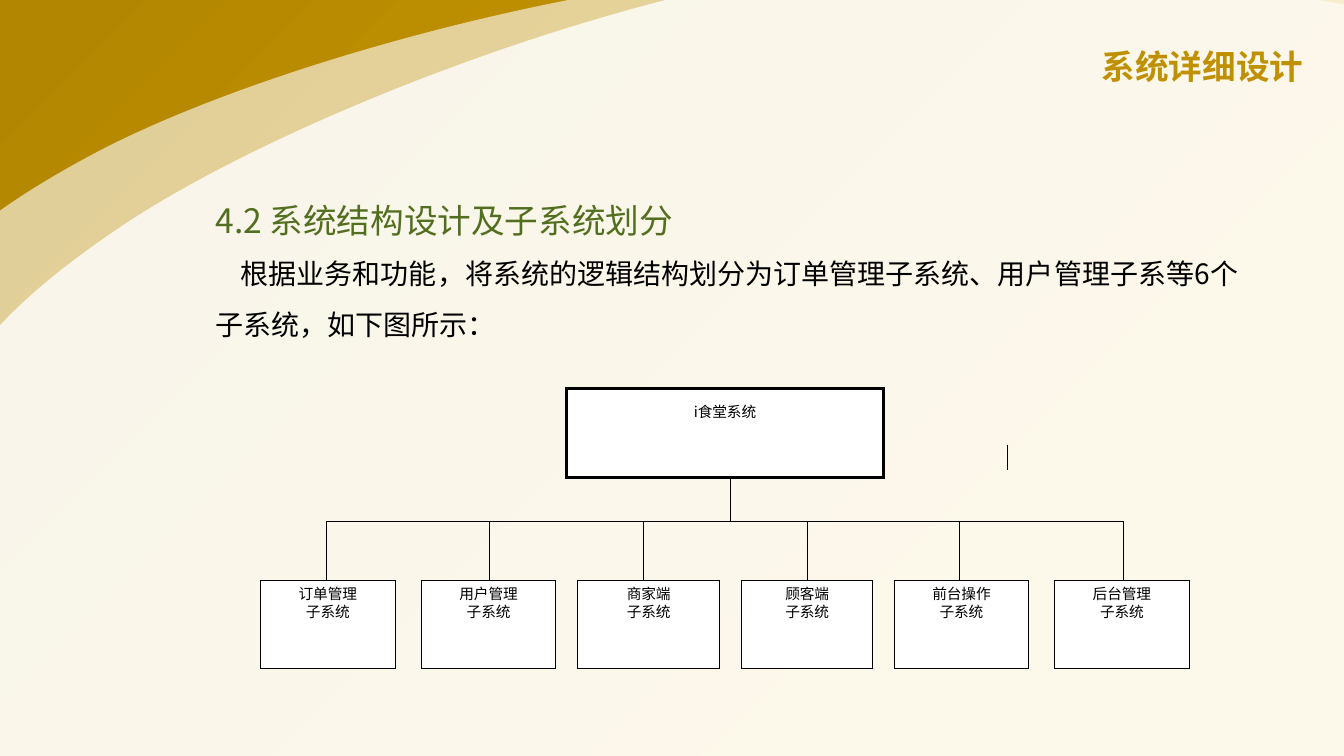
from lxml import etree
from pptx import Presentation
from pptx.dml.color import RGBColor
from pptx.enum import shapes, text
from pptx.oxml import ns, parse_xml
from pptx.util import Pt

FONT = "Noto Sans CJK SC"
GOLD = RGBColor(0xBF, 0x90, 0x00)
GREEN = RGBColor(0x52, 0x6E, 0x1F)
BLACK = RGBColor(0, 0, 0)
WHITE = RGBColor(255, 255, 255)
STOPS = [(0, "E3AB00"), (23, "E3AB00"), (69, "BF9000"), (97, "B28600")]

VEIL = (-139, -24.5, 1471.7, 715)
START = (-97.2, 280)
CURVES = [
    ((-73.4, 213.8), (-43.9, 168.5), (69.1, 108.7)),
    ((181.4, 49.7), (406.1, -14.4), (585.4, -23)),
    ((765.4, -31.7), (1033.9, -0.7), (1146.2, 59)),
    ((1259.3, 118.1), (1387.4, 299.5), (1309, 393.1)),
    ((1229.8, 487.4), (815.8, 670.3), (585.4, 689)),
    ((355, 707.8), (37.4, 565.2), (-74.9, 505.4)),
    ((-187.9, 446.4), (-121, 346.3), START),
]

BUS = 372.2
TOP = 414.4
HIGH = 63.4
PARTS = [
    ("订单管理", 186.2, 96, 233.2),
    ("用户管理", 301, 96, 349.8),
    ("商家端", 412.6, 101.5, 459.4),
    ("顾客端", 529.8, 93.6, 576.6),
    ("前台操作", 638.8, 96, 685.6),
    ("后台管理", 753.4, 96, 802.6),
]


def add_run(para, words, size, color, bold=False):
    run = para.add_run()
    run.text = words
    font = run.font
    font.size, font.bold, font.name = Pt(size), bold, FONT
    font.color.rgb = color
    east = etree.SubElement(run._r.get_or_add_rPr(), ns.qn("a:ea"))
    east.set("typeface", FONT)


def add_back(slide, width, height):
    back = slide.shapes.add_shape(shapes.MSO_SHAPE.RECTANGLE, 0, 0, width, height)
    back.shadow.inherit = False
    back.line.fill.background()
    stops = "".join(
        f'<a:gs pos="{pos * 1000}"><a:srgbClr val="{color}"/></a:gs>'
        for pos, color in STOPS
    )
    grad = parse_xml(
        f'<a:gradFill {ns.nsdecls("a")} rotWithShape="1"><a:gsLst>{stops}</a:gsLst>'
        '<a:path path="circle"><a:fillToRect l="100000" t="100000"/></a:path>'
        "</a:gradFill>"
    )
    back._element.spPr.find(ns.qn("a:prstGeom")).addnext(grad)


def bend_sides(veil):
    left, top, width, height = VEIL
    veil.left, veil.top, veil.width, veil.height = map(Pt, VEIL)
    route = veil._element.spPr.find(".//" + ns.qn("a:path"))
    route.set("w", str(Pt(width)))
    route.set("h", str(Pt(height)))
    for side, bend in zip(route.findall(ns.qn("a:lnTo")), CURVES):
        curve = etree.Element(ns.qn("a:cubicBezTo"))
        for x, y in bend:
            spot = etree.SubElement(curve, ns.qn("a:pt"))
            spot.set("x", str(Pt(x - left)))
            spot.set("y", str(Pt(y - top)))
        route.replace(side, curve)
    spot = route.find(ns.qn("a:moveTo")).find(ns.qn("a:pt"))
    spot.set("x", str(Pt(START[0] - left)))
    spot.set("y", str(Pt(START[1] - top)))


def add_veil(slide, alpha, right=0, down=0, turn=0):
    pen = slide.shapes.build_freeform(Pt(START[0]), Pt(START[1]))
    pen.add_line_segments([(Pt(x), Pt(y)) for *_, (x, y) in CURVES], close=True)
    veil = pen.convert_to_shape()
    bend_sides(veil)
    veil.left += Pt(right)
    veil.top += Pt(down)
    veil.rotation = turn
    veil.shadow.inherit = False
    veil.line.fill.background()
    veil.fill.solid()
    veil.fill.fore_color.rgb = WHITE
    color = veil._element.spPr.find(".//" + ns.qn("a:srgbClr"))
    etree.SubElement(color, ns.qn("a:alpha")).set("val", str(alpha * 1000))


def set_title(slide, words):
    title = slide.shapes.title
    title.left, title.top, title.width, title.height = Pt(520.6), Pt(20.2), Pt(417.6), Pt(56.9)
    frame = title.text_frame
    frame.word_wrap = True
    frame.auto_size = text.MSO_AUTO_SIZE.NONE
    frame.vertical_anchor = text.MSO_ANCHOR.MIDDLE
    para = frame.paragraphs[0]
    para.alignment = text.PP_ALIGN.RIGHT
    para.line_spacing = 0.9
    para.space_before = Pt(10)
    add_run(para, words, 24, GOLD, True)
    title._element.getparent().append(title._element)


def add_intro(slide, head, body):
    frame = slide.shapes.add_textbox(Pt(146.9), Pt(124.6), Pt(745.9), Pt(119.5)).text_frame
    frame.word_wrap = True
    frame.auto_size = text.MSO_AUTO_SIZE.SHAPE_TO_FIT_TEXT
    first, second = frame.paragraphs[0], frame.add_paragraph()
    first.line_spacing = second.line_spacing = 1.5
    add_run(first, head, 24, GREEN)
    add_run(second, body, 20, BLACK)
    second._p.get_or_add_pPr().set("indent", str(Pt(18)))


def add_box(slide, left, top, width, lines, edge=0.75, inset=3.6):
    box = slide.shapes.add_shape(
        shapes.MSO_SHAPE.RECTANGLE, Pt(left), Pt(top), Pt(width), Pt(HIGH)
    )
    box.shadow.inherit = False
    box.fill.solid()
    box.fill.fore_color.rgb = WHITE
    box.line.color.rgb = BLACK
    box.line.width = Pt(edge)
    miter = etree.SubElement(box._element.spPr.find(ns.qn("a:ln")), ns.qn("a:miter"))
    miter.set("lim", "800000")
    frame = box.text_frame
    frame.word_wrap = True
    frame.vertical_anchor = text.MSO_ANCHOR.TOP
    frame.margin_top = Pt(inset)
    for place, words in enumerate(lines):
        para = frame.add_paragraph() if place else frame.paragraphs[0]
        para.alignment = text.PP_ALIGN.CENTER
        add_run(para, words, 10.5, BLACK)
    return box


def add_line(slide, x1, y1, x2, y2):
    line = slide.shapes.add_connector(
        shapes.MSO_CONNECTOR.STRAIGHT, Pt(x1), Pt(y1), Pt(x2), Pt(y2)
    )
    line.line.color.rgb = BLACK
    line.line.width = Pt(0.75)
    etree.SubElement(line._element.spPr, ns.qn("a:effectLst"))
    return line


def add_tree(slide):
    add_box(slide, 404.7, 277.7, 226.3, ["i食堂系统"], 2.25, 10.1)
    add_line(slide, 522, 341, 522, BUS)
    add_line(slide, PARTS[0][-1], BUS, PARTS[-1][-1], BUS)
    for name, left, width, drop in PARTS:
        box = add_box(slide, left, TOP, width, [name, "子系统"])
        line = add_line(slide, drop, BUS, drop, TOP)
        if abs(left + width / 2 - drop) < 0.5:
            line.end_connect(box, 0)


def main():
    deck = Presentation()
    deck.slide_width, deck.slide_height = Pt(960), Pt(540)
    slide = deck.slides.add_slide(deck.slide_layouts[5])
    add_back(slide, deck.slide_width, deck.slide_height)
    add_veil(slide, 60)
    add_veil(slide, 80, 39.6, -3.6, -5.9)
    set_title(slide, "系统详细设计")
    add_intro(
        slide,
        "4.2 系统结构设计及子系统划分",
        "根据业务和功能，将系统的逻辑结构划分为订单管理子系统、用户管理子系等6个子系统，如下图所示：",
    )
    add_line(slide, 719.7, 318.2, 719.7, 336)
    add_tree(slide)
    deck.save("out.pptx")


if __name__ == "__main__":
    main()
